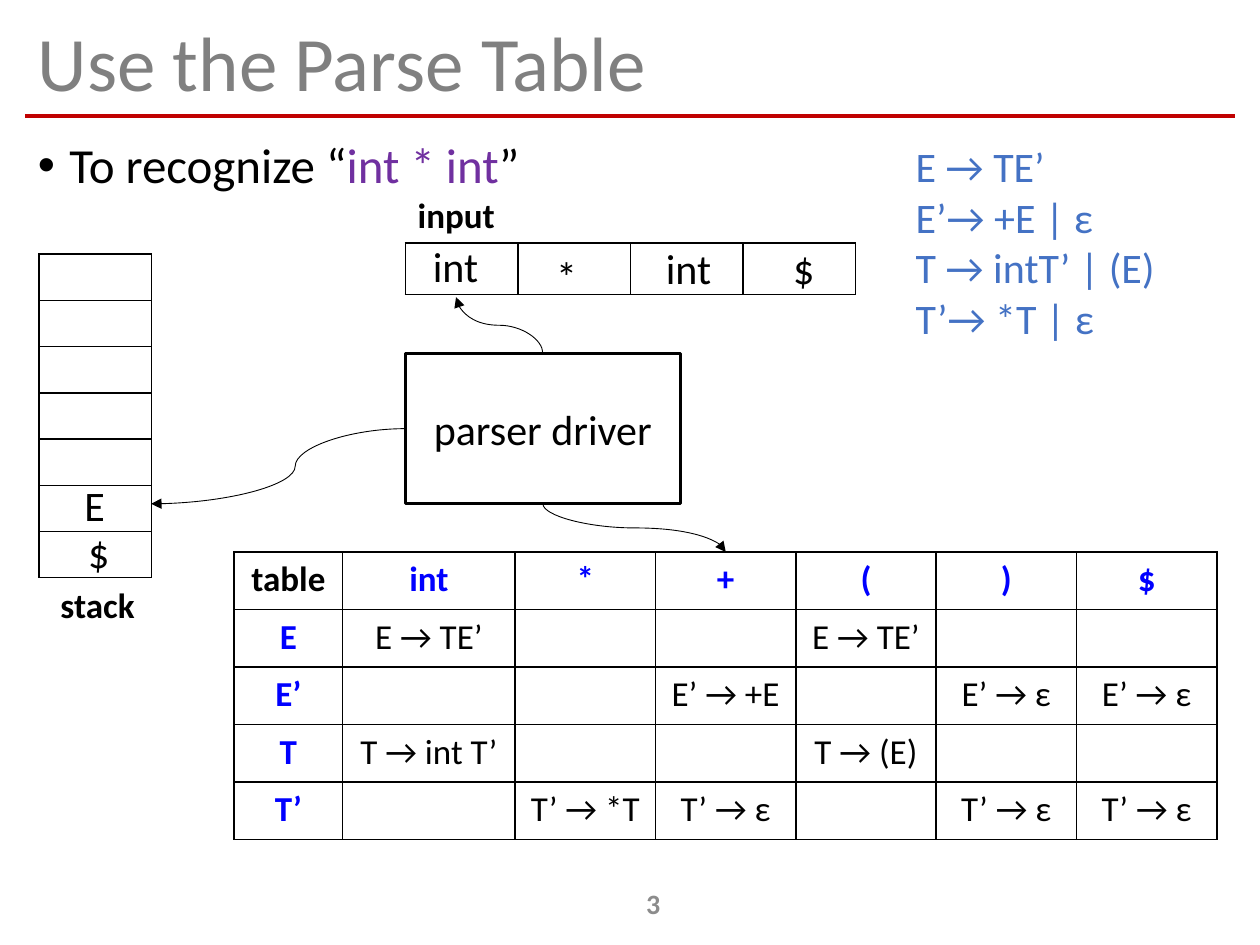
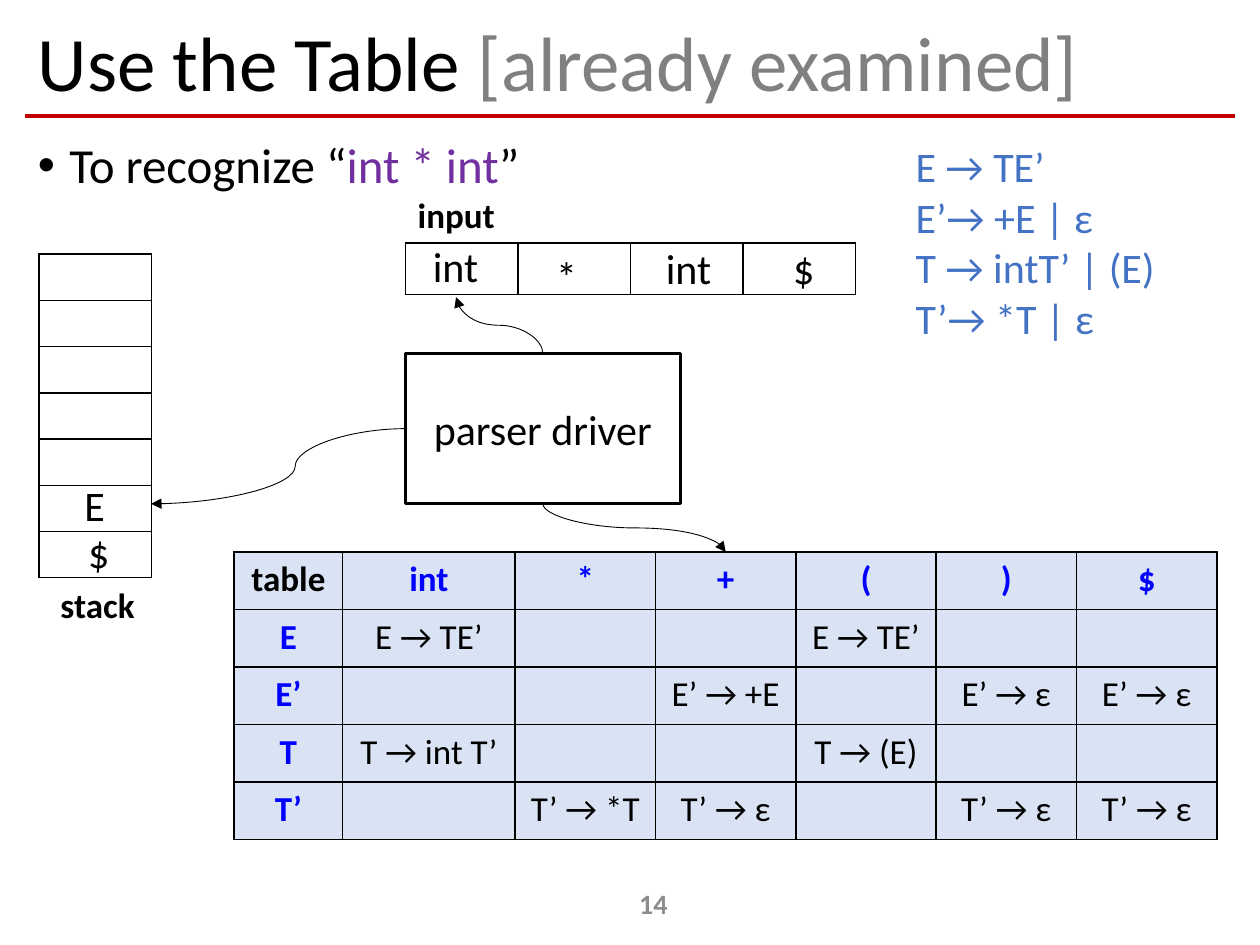
from lxml import etree
from pptx import Presentation
from pptx.dml.color import RGBColor
from pptx.enum.shapes import MSO_CONNECTOR, MSO_SHAPE
from pptx.enum.text import MSO_ANCHOR, MSO_AUTO_SIZE, PP_ALIGN
from pptx.oxml.ns import qn
from pptx.util import Pt

STRAIGHT, CURVE = MSO_CONNECTOR.STRAIGHT, MSO_CONNECTOR.CURVE
RECTANGLE = MSO_SHAPE.RECTANGLE
LEFT, CENTER = PP_ALIGN.LEFT, PP_ALIGN.CENTER
TOP, MIDDLE = MSO_ANCHOR.TOP, MSO_ANCHOR.MIDDLE
NO_FIT, GROW = MSO_AUTO_SIZE.NONE, MSO_AUTO_SIZE.SHAPE_TO_FIT_TEXT

FONT = "Calibri"
BLACK, GRAY, PAGE_GRAY = "000000", "808080", "8C8C8C"
RED, PURPLE, BLUE, SYMBOL_BLUE = "C00000", "7030A0", "4472C4", "0000FF"
PALE_BLUE = "DAE3F3"

GRAMMAR = ["E → TE’", "E’→ +E | ε", "T → intT’ | (E)", "T’→ *T | ε"]
PARSE_TABLE = [
    ["table", "int", "*", "+", "(", ")", "$"],
    ["E", "E → TE’", "", "", "E → TE’", "", ""],
    ["E’", "", "", "E’ → +E", "", "E’ → ε", "E’ → ε"],
    ["T", "T → int T’", "", "", "T → (E)", "", ""],
    ["T’", "", "T’ → *T", "T’ → ε", "", "T’ → ε", "T’ → ε"],
]
PARSE_COLUMNS = [62, 98.6] + [80.2] * 5


def rgb(color):
    return RGBColor.from_string(color)


def box(*lengths):
    return [Pt(length) for length in lengths]


def style(p, size, color=BLACK, bold=False, align=LEFT):
    p.alignment = align
    p.font.name, p.font.size, p.font.bold = FONT, Pt(size), bold
    p.font.color.rgb = rgb(color)


def add_runs(p, runs):
    for text, color in runs:
        r = p.add_run()
        r.text = text
        r.font.color.rgb = rgb(color)


def add_text(s, x, y, w, h, lines, size, color=BLACK, bold=False):
    sp = s.shapes.add_textbox(*box(x, y, w, h))
    tf = sp.text_frame
    tf.word_wrap = False
    tf.auto_size = GROW
    tf.text = "\n".join(lines)
    for p in tf.paragraphs:
        style(p, size, color, bold)


def fill_placeholder(sp, bounds, runs, size, anchor):
    sp.left, sp.top, sp.width, sp.height = box(*bounds)
    tf = sp.text_frame
    tf.auto_size = NO_FIT
    tf.vertical_anchor = anchor
    p = tf.paragraphs[0]
    style(p, size)
    p.line_spacing = 0.9
    add_runs(p, runs)
    return p


def add_line(s, kind, start, end, color, width):
    cn = s.shapes.add_connector(kind, *box(*start, *end))
    cn.line.color.rgb = rgb(color)
    cn.line.width = Pt(width)
    etree.SubElement(cn._element.spPr, qn("a:effectLst"))
    return cn


def add_curved_arrow(s, start, end, vertical=False, bend=None):
    if vertical:
        cx, cy = (start[0] + end[0]) / 2, (start[1] + end[1]) / 2
        start, end = [(cx - (y - cy), cy + (x - cx)) for x, y in (start, end)]
    cn = add_line(s, CURVE, start, end, BLACK, 0.5)
    spPr = cn._element.spPr
    etree.SubElement(spPr.find(qn("a:ln")), qn("a:tailEnd"), type="triangle")
    if vertical:
        spPr.find(qn("a:xfrm")).set("rot", str(270 * 60000))
    if bend:
        guides = spPr.find(qn("a:prstGeom")).get_or_add_avLst()
        etree.SubElement(guides, qn("a:gd"), name="adj1", fmla=f"val {bend}")


def add_borders(cell):
    tcPr = cell._tc.get_or_add_tcPr()
    for side in ("lnL", "lnR", "lnT", "lnB"):
        ln = etree.SubElement(tcPr, qn(f"a:{side}"), w=str(Pt(1)))
        fill = etree.SubElement(ln, qn("a:solidFill"))
        etree.SubElement(fill, qn("a:srgbClr"), val=BLACK)


def add_grid(s, x, y, columns, row_count, row_height, fill=None):
    frame = s.shapes.add_table(
        row_count, len(columns), *box(x, y, sum(columns), row_count * row_height))
    table = frame.table
    table.first_row = table.horz_banding = False
    for column, width in zip(table.columns, columns):
        column.width = Pt(width)
    for row in table.rows:
        row.height = Pt(row_height)
        for cell in row.cells:
            cell.margin_top = cell.margin_bottom = 0
            add_borders(cell)
            if fill:
                cell.fill.solid()
                cell.fill.fore_color.rgb = rgb(fill)
            else:
                cell.fill.background()
    return table


def add_frame(s, title, number):
    fill_placeholder(s.shapes.title, (14.4, 9.4, 692, 57), title, 44, MIDDLE)
    add_line(s, STRAIGHT, (14.4, 66.2), (705.6, 66.2), RED, 2.5)
    sp = s.shapes.add_textbox(*box(292.3, 501.8, 162, 28.8))
    tf = sp.text_frame
    tf.word_wrap = True
    tf.vertical_anchor = MIDDLE
    p = tf.paragraphs[0]
    p.text = str(number)
    style(p, 16, PAGE_GRAY, True, CENTER)


def add_task(s):
    runs = [("To recognize “", BLACK), ("int * int", PURPLE), ("”", BLACK)]
    p = fill_placeholder(s.placeholders[1], (14.4, 77, 692, 409), runs, 28, TOP)
    p.space_before = Pt(10)
    pPr = p._p.get_or_add_pPr()
    pPr.set("marL", str(Pt(18)))
    pPr.set("indent", str(Pt(-18)))


def add_parse_table(s, x, y, fill):
    table = add_grid(s, x, y, PARSE_COLUMNS, len(PARSE_TABLE), 32.83, fill)
    for i, row in enumerate(PARSE_TABLE):
        for j, text in enumerate(row):
            cell = table.cell(i, j)
            cell.margin_top = cell.margin_bottom = Pt(3.6)
            header = i == 0 or j == 0
            color = SYMBOL_BLUE if header and i + j else BLACK
            p = cell.text_frame.paragraphs[0]
            p.text = text
            style(p, 20, color, header, CENTER)


def add_stack(s, x, y):
    add_grid(s, x, y, [64.1], 7, 26.43)
    add_text(s, x + 5.1, y + 184.4, 57.6, 31.5, ["stack"], 20, bold=True)
    add_text(s, x + 18.7, y + 125.3, 26.6, 36, ["E"], 24)
    add_text(s, x + 20.9, y + 152, 26.6, 36, ["$"], 24)


def add_input(s, x, y):
    add_grid(s, x, y, [64.3] * 4, 1, 29.5)
    add_text(s, x, y - 31.7, 59, 31.5, ["input"], 20, bold=True)
    tokens = [("int", 8.7, -5.1, 41), ("*", 79.2, 0.7, 26.6),
              ("int", 141.8, -3.6, 41), ("$", 214.6, -3.6, 26.6)]
    for token, dx, dy, w in tokens:
        add_text(s, x + dx, y + dy, w, 36, [token], 24)


def add_driver(s, x, y, w, h):
    sp = s.shapes.add_shape(RECTANGLE, *box(x, y, w, h))
    sp.shadow.inherit = False
    sp.fill.background()
    sp.line.color.rgb = rgb(BLACK)
    sp.line.width = Pt(1.5)
    tf = sp.text_frame
    tf.vertical_anchor = MIDDLE
    p = tf.paragraphs[0]
    p.text = "parser driver"
    style(p, 24, align=CENTER)
    middle = x + w / 2
    add_curved_arrow(s, (middle, y), (x + 29, y - 32.2), vertical=True)
    add_curved_arrow(s, (x, y + h / 2), (x - 145.2, y + h), bend=43300)
    add_curved_arrow(s, (middle, y + h), (middle + 104.5, y + h + 27.6), vertical=True)


def add_parser_slide(prs, title, number, table_fill=None):
    s = prs.slides.add_slide(prs.slide_layouts[1])
    add_frame(s, title, number)
    add_task(s)
    add_parse_table(s, 133.8, 315.5, table_fill)
    add_stack(s, 22.4, 145.2)
    add_input(s, 231.6, 138.8)
    add_driver(s, 231.6, 202, 157.2, 85.9)
    add_text(s, 516.2, 77, 152.6, 123.8, GRAMMAR, 24, BLUE)


def main():
    prs = Presentation()
    prs.slide_width, prs.slide_height = box(720, 540)
    add_parser_slide(prs, [("Use the Parse Table", GRAY)], 3)
    add_parser_slide(
        prs, [("Use the Table ", BLACK), ("[already examined]", GRAY)], 14, PALE_BLUE)
    prs.save("out.pptx")


if __name__ == "__main__":
    main()
